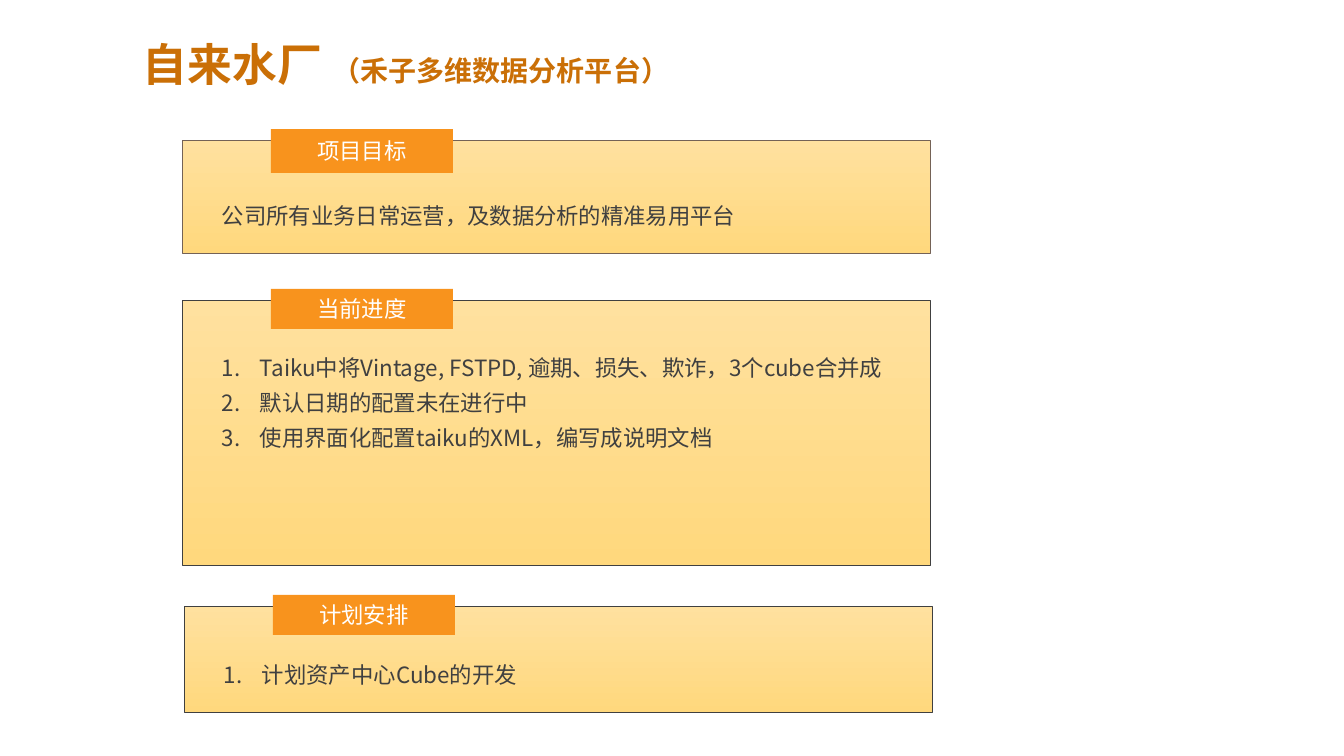
from dataclasses import dataclass

from lxml.etree import SubElement
from pptx import Presentation
from pptx.dml.color import RGBColor
from pptx.enum.shapes import MSO_SHAPE
from pptx.enum.text import MSO_ANCHOR, MSO_AUTO_SIZE, PP_ALIGN
from pptx.oxml.ns import qn
from pptx.util import Emu, Pt

EMU_PER_PIXEL = 914400 / 100.8


@dataclass(frozen=True)
class Theme:
    heading: str = "CA6F06"
    body: str = "404040"
    label: str = "FFFFFF"
    tab: str = "F8931D"
    panel_top: str = "FFE19F"
    panel_bottom: str = "FFD87D"
    goal_border: str = "746256"
    border: str = "404040"
    heading_font: str = "Montserrat"
    body_font: str = "Noto Sans CJK SC"
    heading_size: int = 32
    subheading_size: int = 20
    body_size: int = 16


THEME = Theme()


def px(pixels):
    return Emu(round(pixels * EMU_PER_PIXEL))


def rgb(code):
    return RGBColor.from_string(code)


def style(paragraph, color, size, face=THEME.body_font):
    font = paragraph.font
    font.size = Pt(size)
    font.color.rgb = rgb(color)
    font.name = face
    SubElement(font._rPr, qn("a:ea"), typeface=THEME.body_font)


def set_insets(frame):
    frame.margin_left = frame.margin_right = px(8)
    frame.margin_top = frame.margin_bottom = px(4)
    frame.word_wrap = True


def number(paragraph):
    properties = paragraph._p.get_or_add_pPr()
    properties.set("marL", str(px(38)))
    properties.set("indent", str(-px(38)))
    bullet = properties.makeelement(qn("a:buAutoNum"), {"type": "arabicPeriod"})
    properties.find(qn("a:defRPr")).addprevious(bullet)


def add_heading(slide, name, subtitle):
    heading = slide.shapes.title
    heading.left, heading.top, heading.width, heading.height = map(px, (93, 40, 844, 54))
    frame = heading.text_frame
    frame.auto_size = MSO_AUTO_SIZE.NONE
    frame.vertical_anchor = MSO_ANCHOR.MIDDLE
    frame.margin_left = px(50)
    frame.margin_right = frame.margin_top = frame.margin_bottom = 0
    paragraph = frame.paragraphs[0]
    paragraph.alignment = PP_ALIGN.LEFT
    paragraph.line_spacing = 0.9
    style(paragraph, THEME.heading, THEME.heading_size, THEME.heading_font)
    paragraph.font.bold = True
    paragraph.add_run().text = name + " "
    platform = paragraph.add_run()
    platform.text = subtitle
    platform.font.size = Pt(THEME.subheading_size)


def add_rectangle(slide, left, top, width, height):
    rectangle = slide.shapes.add_shape(
        MSO_SHAPE.RECTANGLE, px(left), px(top), px(width), px(height))
    rectangle.shadow.inherit = False
    return rectangle


def add_panel(slide, left, top, height, border):
    panel = add_rectangle(slide, left, top, 748, height)
    panel.fill.gradient()
    panel.fill.gradient_angle = 270
    for stop, color in zip(panel.fill.gradient_stops, (THEME.panel_top, THEME.panel_bottom)):
        stop.color.rgb = rgb(color)
    panel.line.color.rgb = rgb(border)
    panel.line.width = Pt(0.5)


def add_tab(slide, left, top, height, label):
    tab = add_rectangle(slide, left, top, 182, height)
    tab.fill.solid()
    tab.fill.fore_color.rgb = rgb(THEME.tab)
    tab.line.fill.background()
    frame = tab.text_frame
    set_insets(frame)
    frame.vertical_anchor = MSO_ANCHOR.MIDDLE
    frame.text = label
    frame.paragraphs[0].alignment = PP_ALIGN.CENTER
    style(frame.paragraphs[0], THEME.label, THEME.body_size)


def add_body(slide, left, top, width, height, lines, numbered):
    frame = slide.shapes.add_textbox(px(left), px(top), px(width), px(height)).text_frame
    set_insets(frame)
    frame.text = "\n".join(lines)
    for paragraph in frame.paragraphs:
        paragraph.line_spacing = 1.3
        style(paragraph, THEME.body, THEME.body_size)
        if numbered:
            number(paragraph)


def add_section(slide, label, lines, left, top, height, tab_height, body_top,
                body_width=718, border=THEME.border, numbered=True):
    add_panel(slide, left, top, height, border)
    add_tab(slide, left + 89, top - 11, tab_height, label)
    add_body(slide, left + 32, body_top, body_width, 8 + 35 * len(lines), lines, numbered)


def main():
    deck = Presentation()
    deck.slide_width, deck.slide_height = px(1344), px(756)
    slide = deck.slides.add_slide(deck.slide_layouts[5])
    add_heading(slide, "自来水厂", "（禾子多维数据分析平台）")
    add_section(slide, "项目目标", ["公司所有业务日常运营，及数据分析的精准易用平台"],
                left=182, top=140, height=113, tab_height=44, body_top=190,
                border=THEME.goal_border, numbered=False)
    add_section(slide, "当前进度",
                ["Taiku中将Vintage, FSTPD, 逾期、损失、欺诈，3个cube合并成",
                 "默认日期的配置未在进行中",
                 "使用界面化配置taiku的XML，编写成说明文档"],
                left=182, top=300, height=265, tab_height=40, body_top=342)
    add_section(slide, "计划安排", ["计划资产中心Cube的开发"],
                left=184, top=606, height=106, tab_height=40, body_top=649)
    deck.save("out.pptx")


main()
